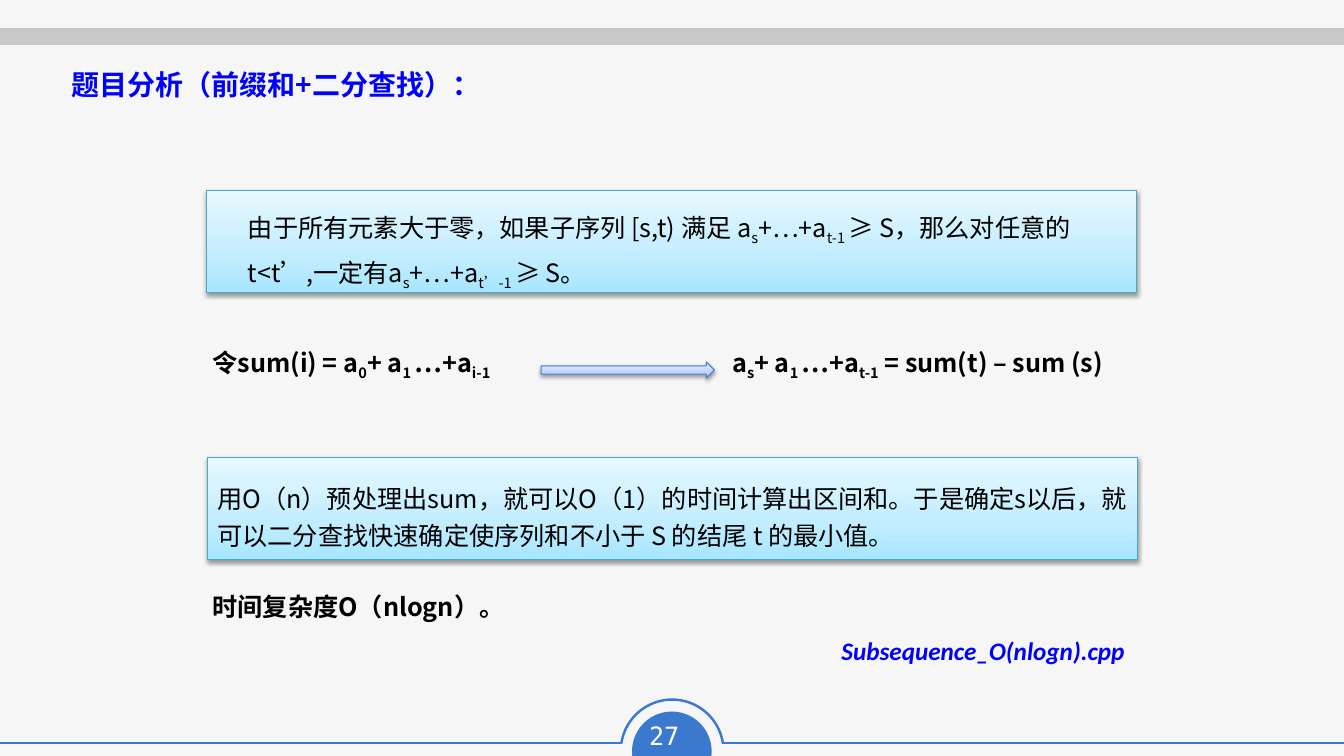
from copy import deepcopy

from lxml.etree import SubElement
from pptx import Presentation
from pptx.dml.color import RGBColor
from pptx.enum.shapes import MSO_CONNECTOR, MSO_SHAPE
from pptx.enum.text import MSO_ANCHOR, PP_ALIGN
from pptx.oxml.ns import qn
from pptx.util import Cm, Pt

BACKGROUND = RGBColor(0xF6, 0xF6, 0xF6)
GRAY = RGBColor(0xC8, 0xC8, 0xC8)
BLUE = RGBColor(0x3B, 0x79, 0xCE)
HEADING = RGBColor(0x00, 0x00, 0xFF)
BLACK = RGBColor(0x00, 0x00, 0x00)
WHITE = RGBColor(0xFF, 0xFF, 0xFF)
PANEL_LINE = RGBColor(0x46, 0xAA, 0xC5)
PANEL_FILL = (RGBColor(0xA7, 0xE6, 0xFF), RGBColor(0xC1, 0xED, 0xFF), RGBColor(0xE7, 0xF8, 0xFF))
ARROW_LINE = RGBColor(0x4B, 0x7E, 0xBC)
ARROW_FILL = (RGBColor(0xA4, 0xC4, 0xFF), RGBColor(0xBF, 0xD4, 0xFF), RGBColor(0xE6, 0xEE, 0xFF))
STOPS = (0, 0.35, 1)
CHINESE = "Noto Sans CJK SC"


class AnalysisSlide:
    """Draws the elements of one slide in a shared style."""

    def __init__(self, presentation):
        self.slide = presentation.slides.add_slide(presentation.slide_layouts[6])
        self.shapes = self.slide.shapes
        fill = self.slide.background.fill
        fill.solid()
        fill.fore_color.rgb = BACKGROUND

    def line(self, left, right, top, color, width):
        connector = self.shapes.add_connector(
            MSO_CONNECTOR.STRAIGHT, Cm(left), Cm(top), Cm(right), Cm(top))
        connector.line.color.rgb = color
        connector.line.width = Pt(width)
        SubElement(connector._element.spPr, qn("a:effectLst"))

    def shape(self, kind, left, top, width, height, adjustments=()):
        shape = self.shapes.add_shape(kind, Cm(left), Cm(top), Cm(width), Cm(height))
        shape.shadow.inherit = False
        for index, value in enumerate(adjustments):
            shape.adjustments[index] = value
        return shape

    def badge(self):
        disc = self.shape(MSO_SHAPE.CHORD, 15.93, 17.93, 2.01, 2.01, (35.77, 153.29))
        disc.rotation = 112.4
        disc.fill.solid()
        disc.fill.fore_color.rgb = BLUE
        disc.line.fill.background()
        ring = self.shape(MSO_SHAPE.ARC, 15.65, 17.63, 2.59, 2.59, (113.17, 210.98))
        ring.fill.background()
        ring.line.color.rgb = BLUE
        ring.line.width = Pt(1.77)

    def glossy(self, kind, left, top, width, height, colors, line_color):
        shape = self.shape(kind, left, top, width, height)
        shape.line.color.rgb = line_color
        shape.line.width = Pt(0.75)
        shape.fill.gradient()
        shape.fill.gradient_angle = 90
        first_stop = shape._element.spPr.find(".//" + qn("a:gs"))
        first_stop.addnext(deepcopy(first_stop))
        for stop, position, color in zip(shape.fill.gradient_stops, STOPS, colors):
            stop.position = position
            stop.color.rgb = color
        shadow = SubElement(
            shape._element.spPr.find(qn("a:effectLst")), qn("a:outerShdw"),
            blurRad=str(Pt(3.1)), dist=str(Pt(1.6)), dir="5400000", rotWithShape="0")
        shadow_color = SubElement(shadow, qn("a:srgbClr"), val="000000")
        SubElement(shadow_color, qn("a:alpha"), val="38000")
        return shape

    def set_text(self, shape, text, size, color, font=CHINESE, bold=False, italic=False):
        frame = shape.text_frame
        frame.word_wrap = True
        paragraph = frame.paragraphs[0]
        paragraph.alignment = PP_ALIGN.LEFT
        for index, part in enumerate(text.split("|")):
            run = paragraph.add_run()
            run.text = part
            run.font.size = Pt(size)
            run.font.name = font
            run.font.bold = bold
            run.font.italic = italic
            run.font.color.rgb = color
            properties = run._r.get_or_add_rPr()
            SubElement(properties, qn("a:ea"), typeface=font)
            if index % 2:
                properties.set("baseline", "-25000")
        return paragraph

    def label(self, left, top, width, text, size=18, color=BLACK, font=CHINESE,
              bold=True, italic=False):
        box = self.shapes.add_textbox(Cm(left), Cm(top), Cm(width), Cm(1.02))
        if font == CHINESE:
            box.text_frame.margin_top = Cm(0.03)
        return self.set_text(box, text, size, color, font, bold, italic)

    def panel(self, left, top, text, indent, spacing):
        panel = self.glossy(MSO_SHAPE.RECTANGLE, left, top, 23.44, 2.57, PANEL_FILL, PANEL_LINE)
        frame = panel.text_frame
        frame.vertical_anchor = MSO_ANCHOR.MIDDLE
        frame.margin_left = Cm(indent)
        frame.margin_right = Cm(0.2)
        frame.margin_top = Cm(0.25)
        frame.margin_bottom = 0
        self.set_text(panel, text, 18, BLACK).line_spacing = spacing


def main():
    presentation = Presentation()
    presentation.slide_width = Cm(33.88)
    presentation.slide_height = Cm(19.05)
    page = AnalysisSlide(presentation)

    page.line(0, 33.88, 0.91, GRAY, 12)
    page.line(0, 15.67, 18.72, BLUE, 1.77)
    page.line(18.21, 33.88, 18.72, BLUE, 1.77)
    page.badge()
    number = page.label(15.64, 18.03, 2.21, "27", color=WHITE, font="DejaVu Sans Mono", bold=False)
    number.alignment = PP_ALIGN.CENTER

    page.label(1.55, 1.68, 11.5, "题目分析（前缀和+二分查找）：", 20, HEADING)
    page.panel(5.21, 4.8, "由于所有元素大于零，如果子序列 [s,t) 满足 a|s|+…+a|t-1 |≥ S，那么对任意的 "
               "t<t’,一定有a|s|+…+a|t’-1 |≥ S。", 1.04, 1.31)
    page.label(5.11, 8.71, 8.5, "令sum(i) = a|0|+ a|1 |…+a|i-1")
    page.glossy(MSO_SHAPE.RIGHT_ARROW, 13.64, 9.12, 4.37, 0.41, ARROW_FILL, ARROW_LINE)
    page.label(18.21, 8.71, 11.5, "a|s|+ a|1 |…+a|t-1| = sum(t) – sum (s)")
    page.panel(5.23, 11.53, "用O（n）预处理出sum，就可以O（1）的时间计算出区间和。于是确定s以后，"
               "就可以二分查找快速确定使序列和不小于 S 的结尾 t 的最小值。", 0.25, 1.24)
    page.label(5.11, 14.86, 8.5, "时间复杂度O（nlogn）。")
    page.label(20.96, 15.88, 8.2, "Subsequence_O(nlogn).cpp", color=HEADING, font="Calibri",
               italic=True)
    presentation.save("out.pptx")


if __name__ == "__main__":
    main()
